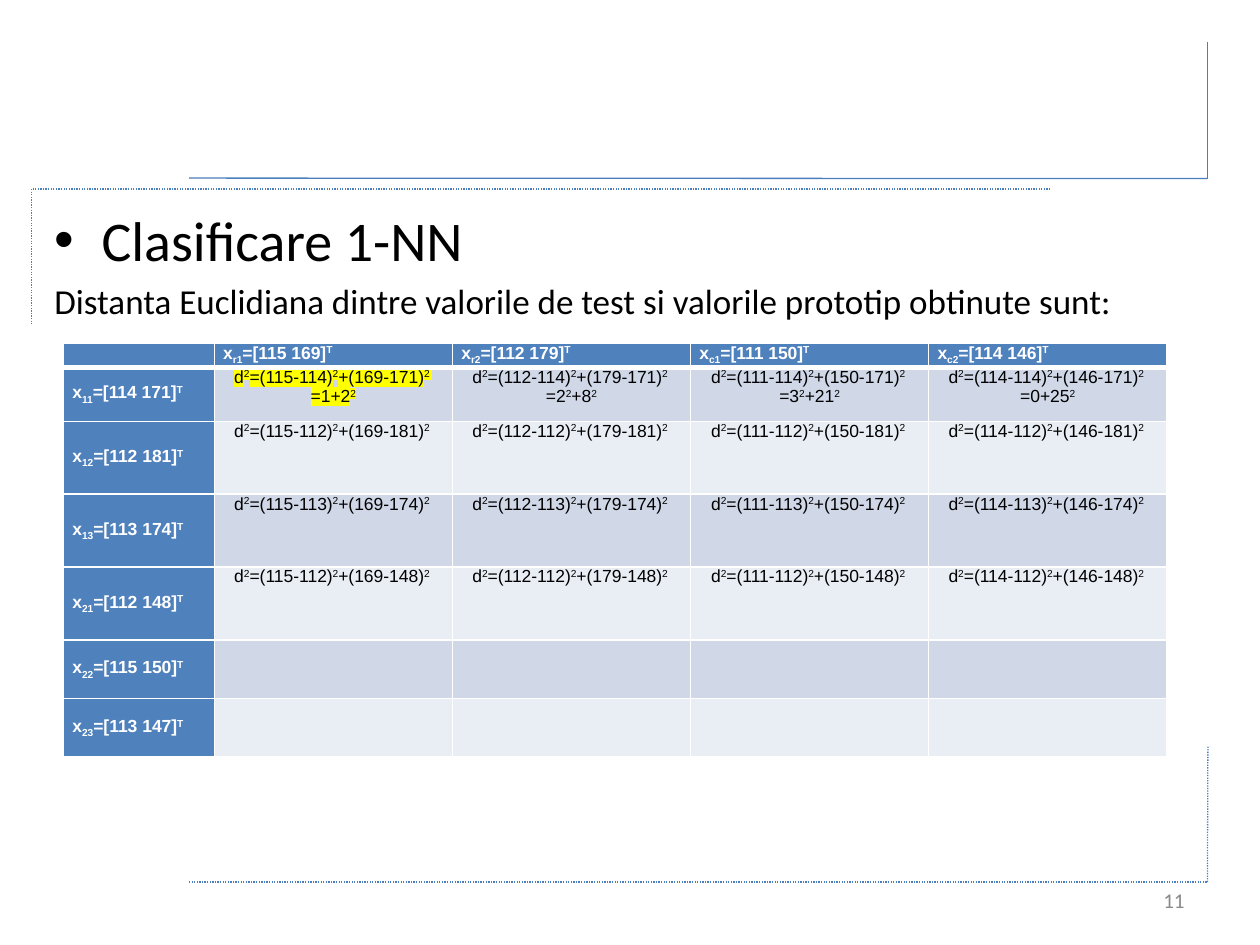
from itertools import pairwise

from lxml.etree import SubElement
from pptx import Presentation
from pptx.dml.color import RGBColor
from pptx.enum.dml import MSO_LINE
from pptx.enum.shapes import MSO_CONNECTOR
from pptx.enum.text import MSO_ANCHOR, PP_ALIGN
from pptx.oxml.ns import qn
from pptx.util import Cm, Pt

COLORS = {
    "text": "000000", "white": "FFFFFF", "number": "898989", "frame": "4B7EBC",
    "header": "4F81BD", "odd": "D0D8E8", "even": "E9EDF4", "highlight": "FFFF00",
}
SUBSCRIPT, SUPERSCRIPT = -25, 30

# Corner lines in cm: points along the line, and whether it is dotted
CORNERS = [
    ([(3.81, 3.59), (24.34, 3.6), (24.34, 0.84)], False),
    ([(21.17, 3.81), (0.64, 3.81), (0.64, 6.56)], True),
    ([(3.81, 17.78), (24.34, 17.78), (24.35, 15.04)], True),
]
PROTOTYPES = {"r1": (115, 169), "r2": (112, 179), "c1": (111, 150), "c2": (114, 146)}
SAMPLES = {"11": (114, 171), "12": (112, 181), "13": (113, 174),
           "21": (112, 148), "22": (115, 150), "23": (113, 147)}
WORKED_SAMPLES = ["11", "12", "13", "21"]
FIRST_ROW_RESULTS = ["=1+2^2", "=2^2^+8^2", "=3^2^+21^2", "=0+25^2"]
COLUMN_WIDTHS = [3.04] + [4.8] * len(PROTOTYPES)
ROW_HEIGHTS = [0.46, 1.09, 1.47, 1.47, 1.47, 1.18, 1.18]


def vector_label(name, vector):
    return [("x", 0), (name, SUBSCRIPT),
            (f"=[{vector[0]} {vector[1]}]", 0), ("T", SUPERSCRIPT)]


def formula(text):
    """Split text at carets; every second part is a superscript."""
    return [(part, SUPERSCRIPT if index % 2 else 0)
            for index, part in enumerate(text.split("^"))]


def distance(prototype, sample):
    (a, b), (c, d) = prototype, sample
    return formula(f"d^2^=({a}-{c})^2^+({b}-{d})^2 ")


class SlideBuilder:
    def __init__(self, slide):
        self.slide = slide

    def add_run(self, paragraph, text, size, color="text", font="Calibri",
                bold=False, baseline=0, highlight=None):
        run = paragraph.add_run()
        run.text = text
        run.font.size = Pt(size)
        run.font.bold = bold
        run.font.color.rgb = RGBColor.from_string(COLORS[color])
        properties = run._r.get_or_add_rPr()
        if highlight:
            mark = SubElement(properties, qn("a:highlight"))
            SubElement(mark, qn("a:srgbClr"), val=COLORS[highlight])
        if baseline:
            properties.set("baseline", str(baseline * 1000))
        run.font.name = font

    def add_corner(self, points, dotted):
        for start, end in pairwise(points):
            line = self.slide.shapes.add_connector(
                MSO_CONNECTOR.STRAIGHT, *map(Cm, start + end))
            line.line.color.rgb = RGBColor.from_string(COLORS["frame"])
            line.line.width = Pt(0.75)
            if dotted:
                line.line.dash_style = MSO_LINE.ROUND_DOT
            SubElement(line.element.spPr, qn("a:effectLst"))

    def fill_body(self, heading, sentence):
        body = self.slide.placeholders[1]
        body.left, body.top, body.width, body.height = map(Cm, (0.84, 4.02, 23.28, 13.55))
        first = body.text_frame.paragraphs[0]
        self.add_run(first, heading, 32)
        second = body.text_frame.add_paragraph()
        properties = second._p.get_or_add_pPr()
        properties.set("marL", "0")
        properties.set("indent", "0")
        SubElement(properties, qn("a:buNone"))
        self.add_run(second, sentence, 20)

    def add_slide_number(self, number):
        box = self.slide.shapes.add_textbox(Cm(18.2), Cm(17.65), Cm(5.93), Cm(1.01))
        frame = box.text_frame
        frame.word_wrap = True
        frame.vertical_anchor = MSO_ANCHOR.MIDDLE
        paragraph = frame.paragraphs[0]
        paragraph.alignment = PP_ALIGN.RIGHT
        self.add_run(paragraph, number, 12, "number")

    def add_table(self, left, top):
        shape = self.slide.shapes.add_table(
            len(ROW_HEIGHTS), len(COLUMN_WIDTHS), Cm(left), Cm(top),
            Cm(sum(COLUMN_WIDTHS)), Cm(sum(ROW_HEIGHTS)))
        table = shape.table
        table.horz_banding = False
        for column, width in zip(table.columns, COLUMN_WIDTHS):
            column.width = Cm(width)
        for row, height in zip(table.rows, ROW_HEIGHTS):
            row.height = Cm(height)
        return table

    def fill_cell(self, cell, fill, lines=(), top_border=1, bottom_border=1,
                  alignment=PP_ALIGN.LEFT, anchor=MSO_ANCHOR.TOP, **style):
        cell.margin_left = cell.margin_right = Cm(0.18)
        cell.margin_top = cell.margin_bottom = 0
        cell.vertical_anchor = anchor
        borders = {"lnL": 1, "lnR": 1, "lnT": top_border, "lnB": bottom_border}
        for side, width in borders.items():
            border = SubElement(cell._tc.get_or_add_tcPr(), qn(f"a:{side}"), w=str(Pt(width)))
            solid = SubElement(border, qn("a:solidFill"))
            SubElement(solid, qn("a:srgbClr"), val=COLORS["white"])
        cell.fill.solid()
        cell.fill.fore_color.rgb = RGBColor.from_string(COLORS[fill])
        frame = cell.text_frame
        if not lines:
            SubElement(frame.paragraphs[0]._p, qn("a:endParaRPr"), sz="1000")
        for index, line in enumerate(lines):
            paragraph = frame.add_paragraph() if index else frame.paragraphs[0]
            paragraph.alignment = alignment
            for text, baseline in line:
                self.add_run(paragraph, text, 10, font="Arial", baseline=baseline, **style)


def fill_distance_table(builder, table):
    header = {"fill": "header", "color": "white", "bold": True}
    builder.fill_cell(table.cell(0, 0), bottom_border=3, **header)
    for column, (name, vector) in enumerate(PROTOTYPES.items(), 1):
        builder.fill_cell(table.cell(0, column), lines=[vector_label(name, vector)],
                          bottom_border=3, **header)
    for row, (name, sample) in enumerate(SAMPLES.items(), 1):
        top_border = 3 if row == 1 else 1
        builder.fill_cell(table.cell(row, 0), lines=[vector_label(name, sample)],
                          top_border=top_border, anchor=MSO_ANCHOR.MIDDLE, **header)
        for column, prototype in enumerate(PROTOTYPES.values(), 1):
            lines = [distance(prototype, sample)] if name in WORKED_SAMPLES else []
            if row == 1:
                lines.append(formula(FIRST_ROW_RESULTS[column - 1]))
            builder.fill_cell(table.cell(row, column), "odd" if row % 2 else "even", lines,
                              top_border=top_border, alignment=PP_ALIGN.CENTER,
                              highlight="highlight" if row == column == 1 else None)


def main():
    presentation = Presentation()
    presentation.slide_width, presentation.slide_height = Cm(25.4), Cm(19.05)
    slide = presentation.slides.add_slide(presentation.slide_layouts[1])
    title = slide.shapes.title.element
    title.getparent().remove(title)
    builder = SlideBuilder(slide)
    for points, dotted in CORNERS:
        builder.add_corner(points, dotted)
    builder.fill_body(
        "Clasificare 1-NN",
        "Distanta Euclidiana dintre valorile de test si valorile prototip obtinute sunt:")
    builder.add_slide_number("11")
    fill_distance_table(builder, builder.add_table(1.28, 6.92))
    presentation.save("out.pptx")


if __name__ == "__main__":
    main()
